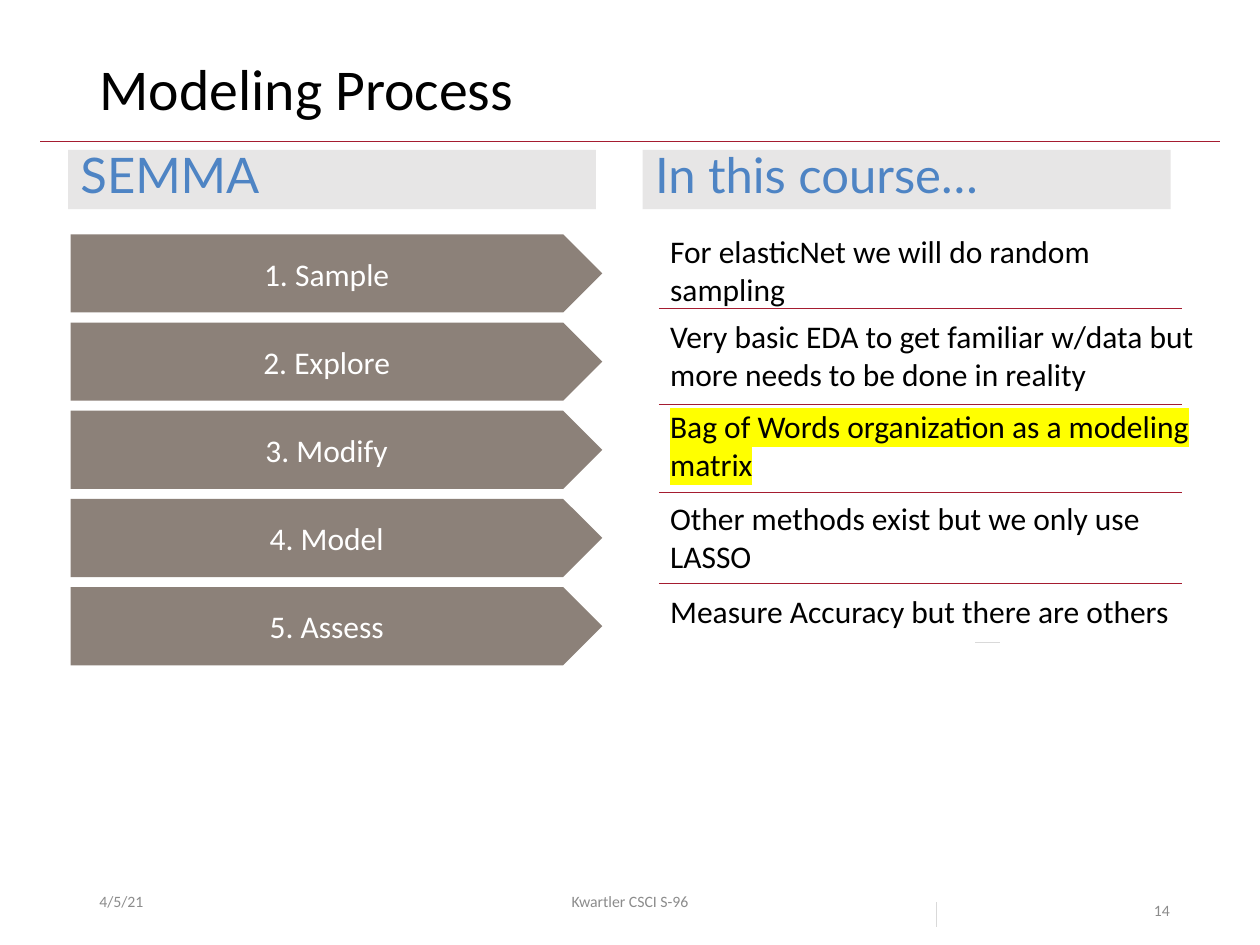
"""Build the Modeling Process slide: SEMMA steps beside course notes."""
import pptx
import pptx.dml.color
import pptx.enum.shapes
import pptx.enum.text
import pptx.oxml
import pptx.oxml.ns
import pptx.util

Inches, Pt = pptx.util.Inches, pptx.util.Pt
Shape = pptx.enum.shapes.MSO_SHAPE
Align = pptx.enum.text.PP_ALIGN
Anchor = pptx.enum.text.MSO_ANCHOR
NS = pptx.oxml.ns.nsdecls("a")

TITLE = "Modeling Process"
HEADS = [("SEMMA", 0.54), ("In this course…", 5.1)]
STEPS = ["Sample", "Explore", "Modify", "Model", "Assess"]
NOTES = [
    ("For elasticNet we will do random sampling", 1.79, 4.18, 0.71, None),
    ("Very basic EDA to get familiar w/data but more needs to be done in reality",
     2.47, 4.78, 0.71, None),
    ("Bag of Words organization as a modeling matrix", 3.18, 4.55, 0.71, "FFFF00"),
    ("Other methods exist but we only use LASSO", 3.91, 4.18, 0.71, None),
    ("Measure Accuracy but there are others", 4.65, 4.18, 0.4, None),
]
FOOTER = [
    ("4/5/21", 0.69, 2.25, dict(anchor=Anchor.MIDDLE)),
    ("Kwartler CSCI S-96", 3.31, 3.38, dict(anchor=Anchor.MIDDLE, align=Align.CENTER)),
    ("14", 9.06, 0.94, dict(space=2.0)),
]
RULES = [(0.32, 1.12, 9.68, 1.12, "A51C30")]
RULES += [(5.23, y, 9.38, y, "A51C30") for y in (2.45, 3.21, 3.91, 4.63)]
RULES += [(7.43, 7.16, 7.43, 7.36, "D9D9D9"), (7.74, 5.1, 7.94, 5.1, "D9D9D9")]


def color(code):
    return pptx.dml.color.RGBColor.from_string(code)


def write(shape, text, size=18, ink="000000", face="Calibri", align=Align.LEFT,
          anchor=Anchor.TOP, space=None, mark=None):
    frame = shape.text_frame
    frame.word_wrap = True
    frame.auto_size = pptx.enum.text.MSO_AUTO_SIZE.NONE
    frame.vertical_anchor = anchor
    para = frame.paragraphs[0]
    para.alignment = align
    para.line_spacing = space
    run = para.add_run()
    run.text = text
    font = run.font
    font.size, font.name = Pt(size), face
    font.color.rgb = color(ink)
    if mark:
        fill = font._element.find(pptx.oxml.ns.qn("a:solidFill"))
        fill.addnext(pptx.oxml.parse_xml(
            f'<a:highlight {NS}><a:srgbClr val="{mark}"/></a:highlight>'))


def label(slide, box, text, **style):
    write(slide.shapes.add_textbox(*map(Inches, box)), text, **style)


def block(slide, kind, box, fill, text, **style):
    shape = slide.shapes.add_shape(kind, *map(Inches, box))
    shape.shadow.inherit = False
    shape.fill.solid()
    shape.fill.fore_color.rgb = color(fill)
    shape.line.fill.background()
    write(shape, text, **style)


def rule(slide, ends, ink):
    line = slide.shapes.add_connector(
        pptx.enum.shapes.MSO_CONNECTOR.STRAIGHT, *map(Inches, ends))
    line.line.color.rgb = color(ink)
    line.line.width = Pt(0.5)
    line._element.spPr.append(pptx.oxml.parse_xml(f"<a:effectLst {NS}/>"))


def main():
    deck = pptx.Presentation()
    deck.slide_width, deck.slide_height = Inches(10), Inches(7.5)
    slide = deck.slides.add_slide(deck.slide_layouts[5])
    title = slide.shapes.title
    title.left, title.top = Inches(0.69), Inches(0.4)
    title.width, title.height = Inches(8.62), Inches(0.65)
    write(title, TITLE, size=33, anchor=Anchor.MIDDLE, space=0.9)

    for text, left in HEADS:
        block(slide, Shape.RECTANGLE, (left, 1.19, 4.19, 0.47), "E7E6E6", text,
              size=28, ink="4E84C4", face="Lato", space=0.8)
    for i, step in enumerate(STEPS):
        block(slide, Shape.PENTAGON, (0.56, 1.86 + 0.7 * i, 4.22, 0.62), "8C8179",
              f"{i + 1}. {step}", ink="FFFFFF", align=Align.CENTER, anchor=Anchor.MIDDLE)
    for text, top, width, height, mark in NOTES:
        label(slide, (5.22, top, width, height), text, mark=mark)
    for text, left, width, style in FOOTER:
        label(slide, (left, 6.95, width, 0.4), text, size=9, ink="8C8C8C", **style)
    for *ends, ink in RULES:
        rule(slide, ends, ink)
    deck.save("out.pptx")


if __name__ == "__main__":
    main()
